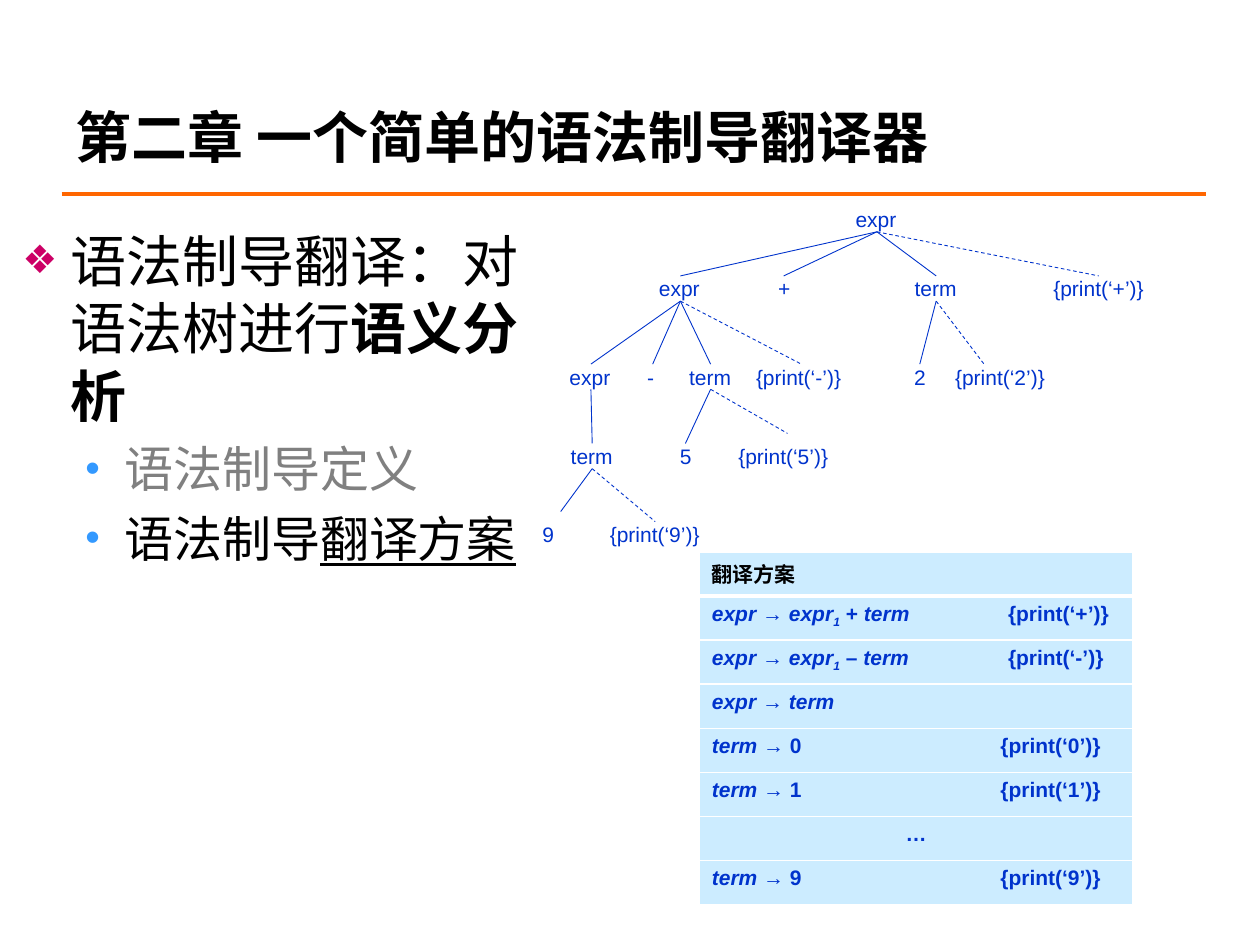
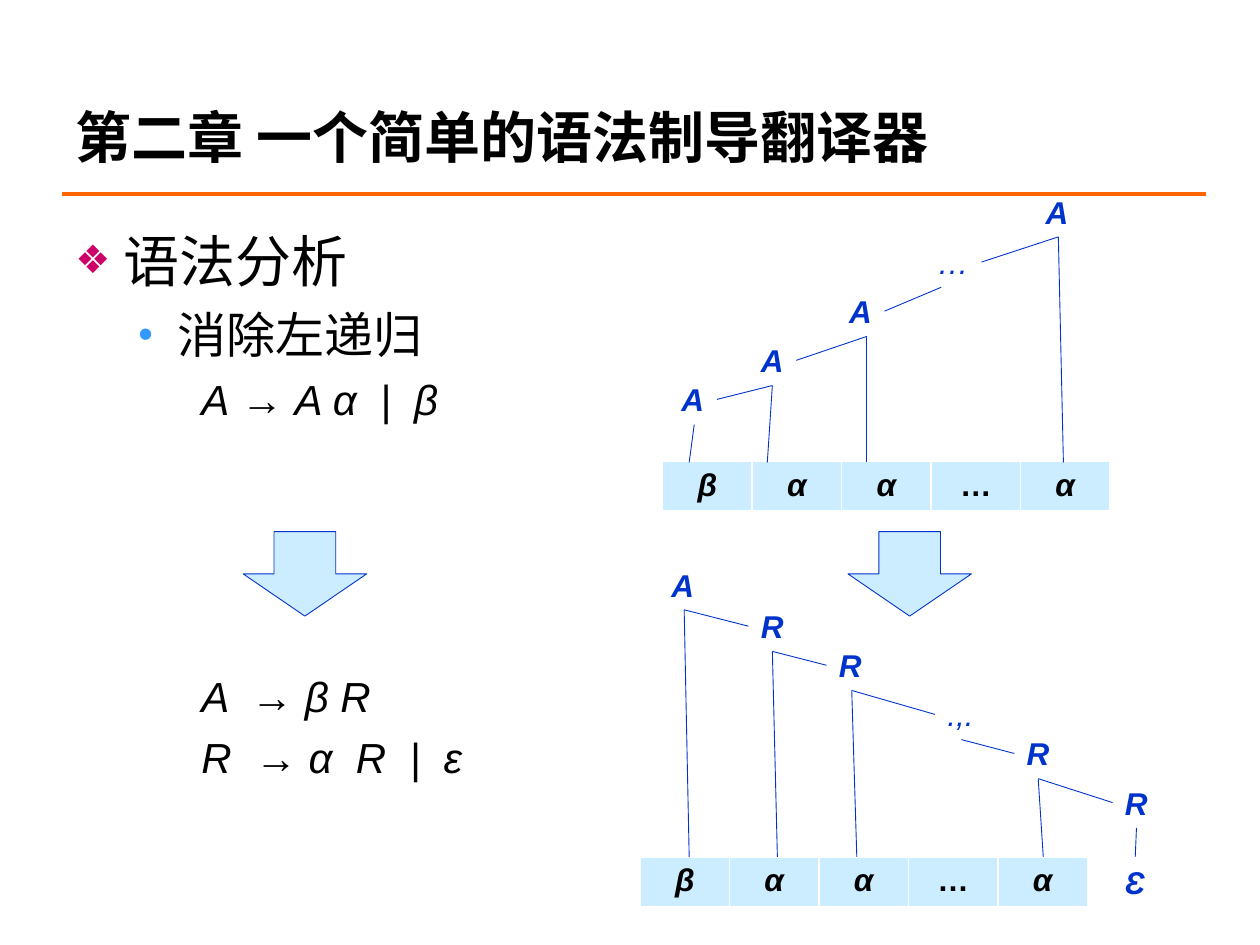
from lxml import etree
from pptx import Presentation
from pptx.dml.color import RGBColor
from pptx.enum import dml, shapes, text
from pptx.oxml import ns
from pptx.util import Inches, Pt

INK, BLUE, PALE, WHITE = "000000", "0033CC", "CCECFF", "FFFFFF"
ORANGE, GREY, PINK, SKY = "FF6600", "808080", "CC0066", "3399FF"
LATIN, HAN = "Arial", "Noto Sans CJK SC"
TITLE = "第二章 一个简单的语法制导翻译器"
LABEL_WIDTHS = {1: 0.09, 4: 0.34, 12: 0.72}
LEVEL_TOPS = [0, 0.55, 1.25, 1.88, 2.5]
LINE_HEIGHT = 0.2


def rgb(hex_string):
    """Turn a hex string into a colour."""
    return RGBColor.from_string(hex_string)


def add_element(parent, tag, **attributes):
    """Append a DrawingML element and return it."""
    child = etree.SubElement(parent, ns.qn("a:" + tag))
    for key, value in attributes.items():
        child.set(key, str(value))
    return child


def write(paragraph, parts, size, color=INK, latin=LATIN):
    """Add runs given as (words, flags): b bold, i italic, u underline, s subscript."""
    for words, flags in parts:
        run = paragraph.add_run()
        run.text = words
        font = run.font
        font.size, font.name, font.color.rgb = Pt(size), latin, rgb(color)
        font.bold, font.italic, font.underline = "b" in flags, "i" in flags, "u" in flags
        add_element(run._r.get_or_add_rPr(), "ea", typeface=HAN)
        if "s" in flags:
            run._r.get_or_add_rPr().set("baseline", "-25000")


def add_text(slide, left, top, width, height, inset=True, wrap=False):
    """Place an empty text box and return its frame."""
    frame = slide.shapes.add_textbox(
        Inches(left), Inches(top), Inches(width), Inches(height)).text_frame
    frame.word_wrap = wrap
    if not inset:
        frame.margin_left = frame.margin_right = frame.margin_top = frame.margin_bottom = 0
    return frame


def add_line(slide, start, end, color=BLUE, weight=0.5, dashed=False):
    """Draw a straight line between two points."""
    line = slide.shapes.add_connector(
        shapes.MSO_CONNECTOR.STRAIGHT, *(Inches(value) for value in (*start, *end)))
    line.line.color.rgb, line.line.width = rgb(color), Pt(weight)
    if dashed:
        line.line.dash_style = dml.MSO_LINE.DASH
    add_element(line._element.spPr, "effectLst")


def add_chapter_slide(deck):
    """Start a slide with the chapter title and its rule."""
    slide = deck.slides.add_slide(deck.slide_layouts[6])
    add_line(slide, (0.49, 1.54), (9.57, 1.54), ORANGE, 2.25)
    heading = add_text(slide, 0.5, 0.76, 7.26, 0.64, wrap=True)
    heading.vertical_anchor = text.MSO_ANCHOR.MIDDLE
    write(heading.paragraphs[0], [(TITLE, "b")], 32, latin=HAN)
    return slide


def add_outline(slide, left, top, width, height, items):
    """Write outline items given as (level, parts, colour, space before)."""
    styles = [(32, 0.38, -0.38, "❖", PINK, 70), (28, 0.81, -0.31, "•", SKY, 85),
              (24, 1, 0, None, None, None)]
    frame = add_text(slide, left, top, width, height, wrap=True)
    for index, (level, parts, color, before) in enumerate(items):
        paragraph = frame.add_paragraph() if index else frame.paragraphs[0]
        size, margin, indent, bullet, bullet_color, percent = styles[level]
        paragraph.level, paragraph.space_before = level, Pt(before)
        properties = paragraph._p.get_or_add_pPr()
        properties.set("marL", str(Inches(margin)))
        properties.set("indent", str(Inches(indent)))
        if bullet:
            add_element(add_element(properties, "buClr"), "srgbClr", val=bullet_color)
            add_element(properties, "buSzPct", val=percent * 1000)
            add_element(properties, "buFont", typeface=LATIN)
            add_element(properties, "buChar", char=bullet)
        write(paragraph, parts, size, color)


def add_parse_tree(slide, left, top, node, depth=0):
    """Draw (label, centre, children, edge end) and all below it; actions hang on dashes."""
    label, centre, children, _ = node
    width, y = LABEL_WIDTHS[len(label)], top + LEVEL_TOPS[depth]
    frame = add_text(slide, left + centre - width / 2, y, width, LINE_HEIGHT, inset=False)
    write(frame.paragraphs[0], [(label, "")], 12, BLUE)
    for child in children:
        end_x, end_y = child[3] or (child[1], LEVEL_TOPS[depth + 1])
        add_line(slide, (left + centre, y + LINE_HEIGHT), (left + end_x, top + end_y),
                 dashed=child[0].startswith("{"))
        add_parse_tree(slide, left, top, child, depth + 1)


def leaf(label, centre, end=None):
    """Describe a tree node without children."""
    return label, centre, [], end


def add_grid(slide, left, top, columns, rows, column_width, row_height):
    """Place a pale table with white borders and return it."""
    grid = slide.shapes.add_table(
        rows, columns, Inches(left), Inches(top),
        Inches(columns * column_width), Inches(rows * row_height)).table
    grid.horz_banding = False
    for index, cell in enumerate(grid.iter_cells()):
        properties = cell._tc.get_or_add_tcPr()
        for side in "LRTB":
            weight = 3 if side == "B" and index < columns else 1
            border = add_element(properties, "ln" + side, w=Pt(weight))
            add_element(add_element(border, "solidFill"), "srgbClr", val=WHITE)
        cell.fill.solid()
        cell.fill.fore_color.rgb = rgb(PALE)
    return grid


def add_scheme(slide, left, top):
    """Tabulate the productions with their actions at a tab stop."""
    def production(operator):
        """Give the runs of a binary rule."""
        return [("expr ", "bi"), ("→ ", "b"), ("expr", "bi"), ("1", "bis"),
                (f" {operator} ", "b"), ("term", "bi")]

    def digit(value):
        """Give the runs of a digit rule."""
        return [("term ", "bi"), (f"→ {value}\t{{print(‘{value}’)}}", "b")]

    rules = [[("翻译方案", "b")],
             production("+") + [("\t{print(‘+’)}", "b")],
             production("–") + [("\t{print(‘-’)}", "b")],
             [("expr ", "bi"), ("→ ", "b"), ("term", "bi")],
             digit(0), digit(1), [("…", "b")], digit(9)]
    grid = add_grid(slide, left, top, 1, len(rules), 3.44, 0.35)
    for row, (cell, parts) in enumerate(zip(grid.iter_cells(), rules)):
        paragraph = cell.text_frame.paragraphs[0]
        if len(parts) == 1 and row:
            paragraph.alignment = text.PP_ALIGN.CENTER
        tabs = add_element(paragraph._p.get_or_add_pPr(), "tabLst")
        add_element(tabs, "tab", pos=Inches(2.35 if row < 3 else 2.29), algn="l")
        write(paragraph, parts, 12, BLUE if row else INK)


def add_sentence(slide, left, top):
    """Tabulate the derived string."""
    grid = add_grid(slide, left, top, 5, 1, 0.71, 0.41)
    for cell, symbol in zip(grid.iter_cells(), "βαα…α"):
        paragraph = cell.text_frame.paragraphs[0]
        paragraph.alignment = text.PP_ALIGN.CENTER
        write(paragraph, [(symbol, "b" if symbol == "…" else "bi")], 18)


def add_symbol(slide, left, top, width, symbol):
    """Write one grammar symbol of a derivation."""
    flags = "i" if symbol in ("…", ".,.") else "bi"
    write(add_text(slide, left, top, width, 0.4).paragraphs[0], [(symbol, flags)], 18, BLUE)


def add_derivation(slide, left, top, floor, steps, leftward):
    """Draw steps (symbol, x, y, width, fork, foot), each joined to the next and the floor."""
    for index, (symbol, x, y, width, fork, foot) in enumerate(steps):
        add_symbol(slide, left + x, top + y, width, symbol)
        start = (left + x + fork, top + y + 0.4)
        if foot is not None:
            add_line(slide, start, (start[0] + foot, floor))
        if index + 1 < len(steps):
            _, next_x, next_y, next_width, _, _ = steps[index + 1]
            edge = next_x + next_width if leftward else next_x
            add_line(slide, start, (left + edge, top + next_y + 0.2))


def add_down_arrow(slide, left, top):
    """Place a pale block arrow pointing down."""
    arrow = slide.shapes.add_shape(shapes.MSO_SHAPE.DOWN_ARROW, Inches(left), Inches(top),
                                   Inches(0.98), Inches(0.67))
    arrow.shadow.inherit = False
    arrow.fill.solid()
    arrow.fill.fore_color.rgb = rgb(PALE)
    arrow.line.color.rgb, arrow.line.width = rgb(BLUE), Pt(0.5)


def build_translation(deck):
    """Build the slide on syntax-directed translation."""
    slide = add_chapter_slide(deck)
    add_outline(slide, 0.08, 1.75, 4.34, 4.95, [
        (0, [("语法制导翻译：对语法树进行", ""), ("语义分析", "b")], INK, 0),
        (1, [("语法制导定义", "")], GREY, 6),
        (1, [("语法制导", ""), ("翻译方案", "u")], INK, 6)])
    nine = ("term", 0.4, [leaf("9", 0.05, (0.15, 2.42)), leaf("{print(‘9’)}", 0.9)], None)
    five = ("term", 1.34, [leaf("5", 1.14), leaf("{print(‘5’)}", 1.92, (1.95, 1.8))], None)
    two = ("term", 3.13, [leaf("2", 3), leaf("{print(‘2’)}", 3.64, (3.51, 1.25))], None)
    difference = ("expr", 1.1, [("expr", 0.39, [nine], None), leaf("-", 0.88), five,
                                leaf("{print(‘-’)}", 2.06)], None)
    total = ("expr", 2.66, [difference, leaf("+", 1.92), two, leaf("{print(‘+’)}", 4.42)], None)
    add_parse_tree(slide, 4.3, 1.64, total)
    add_scheme(slide, 5.55, 4.38)


def build_recursion(deck):
    """Build the slide on removing left recursion."""
    slide = add_chapter_slide(deck)
    add_outline(slide, 0.5, 1.75, 9, 4.95, [
        (0, [("语法分析", "")], INK, 0),
        (1, [("消除左递归", "")], INK, 6),
        (2, [("A", "i"), (" → ", ""), ("A α  |  β", "i")], INK, 6),
        (2, [("A  ", "i"), ("→", ""), (" β R", "i")], INK, 141),
        (2, [("R  ", "i"), ("→", ""), (" α  R  |  ε", "i")], INK, 6)])
    for left in (1.93, 6.73):
        add_down_arrow(slide, left, 4.22)
    add_sentence(slide, 5.26, 3.66)
    add_derivation(slide, 5.26, 1.48, 3.67, [
        ("A", 2.94, 0, 0.38, 0.2, 0.04), ("…", 2.08, 0.4, 0.45, 0.13, None),
        ("A", 1.38, 0.79, 0.38, 0.24, 0), ("A", 0.68, 1.18, 0.38, 0.19, -0.04),
        ("A", 0.05, 1.49, 0.38, 0.2, -0.04)], leftward=True)
    add_sentence(slide, 5.08, 6.8)
    add_derivation(slide, 5.08, 4.44, 6.8, [
        ("A", 0.15, 0, 0.38, 0.2, 0.04), ("R", 0.86, 0.33, 0.38, 0.19, 0.04),
        ("R", 1.48, 0.64, 0.38, 0.2, 0.04), (".,.", 2.34, 1.03, 0.41, 0.21, None),
        ("R", 2.97, 1.34, 0.38, 0.19, 0.04), ("R", 3.75, 1.73, 0.38, 0.19, -0.01)],
        leftward=False)
    add_symbol(slide, 8.83, 6.8, 0.37, "Ɛ")


def main():
    """Build and save the deck."""
    deck = Presentation()
    deck.slide_width, deck.slide_height = Inches(10), Inches(7.5)
    build_translation(deck)
    build_recursion(deck)
    deck.save("out.pptx")


main()
